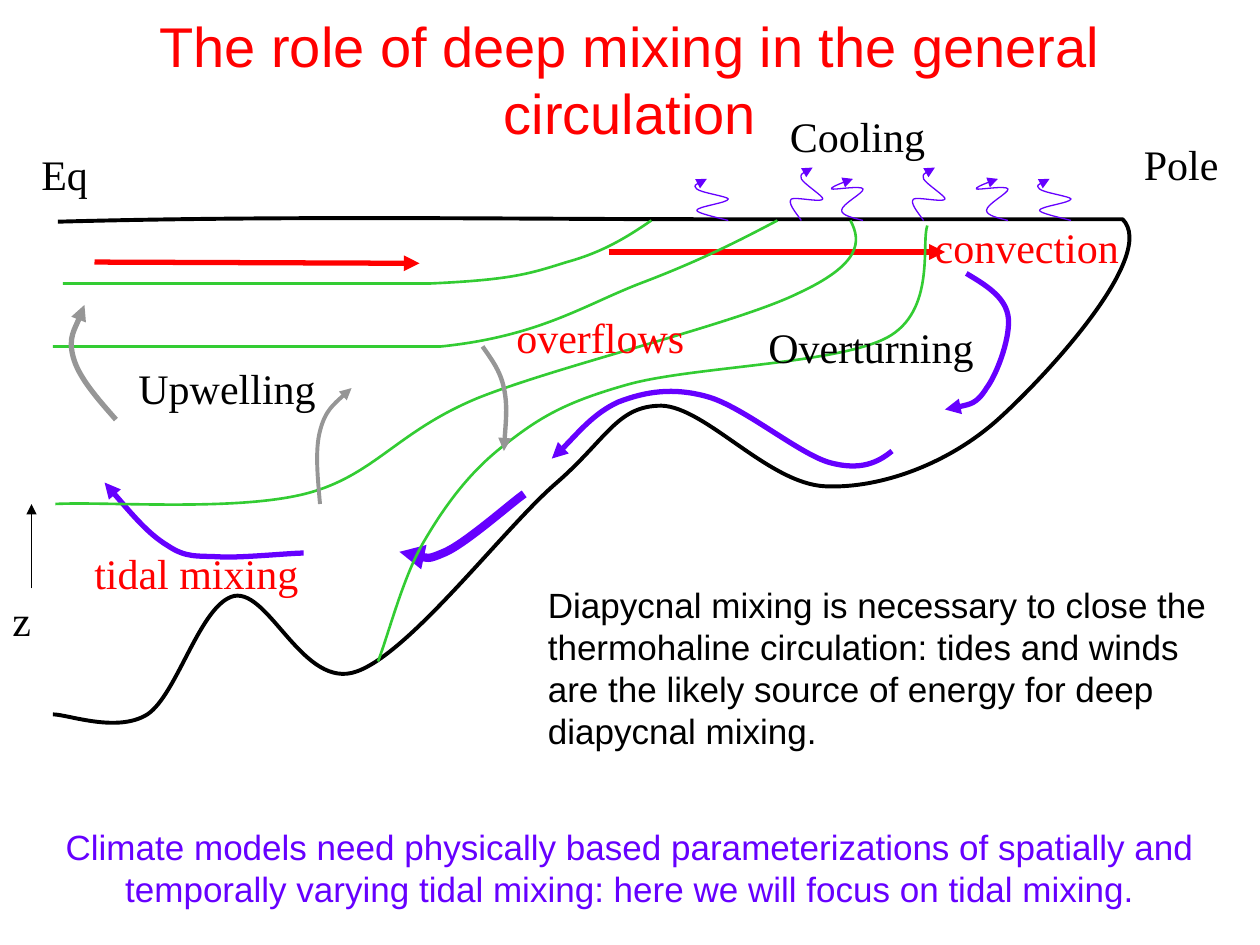
from dataclasses import dataclass

from lxml import etree
from pptx import Presentation
from pptx.dml.color import RGBColor
from pptx.enum import shapes, text
from pptx.oxml import ns
from pptx.util import Inches, Pt


@dataclass(frozen=True)
class Theme:
    black: str = "000000"
    red: str = "FF0000"
    violet: str = "6600FF"
    green: str = "33CC33"
    grey: str = "969696"
    sans: str = "Arial"
    serif: str = "Times New Roman"
    title: int = 32
    label: int = 24
    body: int = 20


THEME = Theme()
SEA_LEVEL = 1.75


def set_all(obj, values):
    for name, value in values.items():
        setattr(obj, name, value)


def bend(sp, segments):
    """Turn each run of three straight pieces of a freeform into one cubic Bézier."""
    pieces = iter(list(sp._element.iter(ns.qn("a:lnTo"))))
    for seg in segments:
        first, *rest = [next(pieces) for _ in seg]
        if rest:
            first.tag_name = None
            cubic = etree.Element(ns.qn("a:cubicBezTo"))
            first.addprevious(cubic)
            for piece in (first, *rest):
                cubic.append(piece[0])
                piece.getparent().remove(piece)


class Canvas:
    def __init__(self, slide, theme):
        self.slide, self.theme = slide, theme

    def style_line(self, sp, color, width, arrow):
        sp.line.color.rgb = RGBColor.from_string(color)
        sp.line.width = Pt(width)
        if arrow:
            ln = sp.line._get_or_add_ln()
            etree.SubElement(ln, ns.qn("a:tailEnd"), type="triangle")

    def curve(self, start, segments, color, width, arrow=False):
        """Draw segments: one point is a straight line, three are a cubic Bézier."""
        builder = self.slide.shapes.build_freeform(*map(Inches, start))
        builder.add_line_segments(
            [(Inches(x), Inches(y)) for seg in segments for x, y in seg], close=False)
        sp = builder.convert_to_shape()
        bend(sp, segments)
        sp.shadow.inherit = False
        sp.fill.background()
        self.style_line(sp, color, width, arrow)

    def arrow(self, start, end, color, width):
        sp = self.slide.shapes.add_connector(
            shapes.MSO_CONNECTOR.STRAIGHT, *map(Inches, start + end))
        etree.SubElement(sp._element.spPr, ns.qn("a:effectLst"))
        self.style_line(sp, color, width, True)

    def text(self, box, words, color, size, font, align=text.PP_ALIGN.LEFT, **frame):
        tf = self.slide.shapes.add_textbox(*map(Inches, box)).text_frame
        set_all(tf, {"word_wrap": True,
                     "auto_size": text.MSO_AUTO_SIZE.SHAPE_TO_FIT_TEXT, **frame})
        p = tf.paragraphs[0]
        p.alignment = align
        r = p.add_run()
        r.text = words
        set_all(r.font, {"name": font, "size": Pt(size)})
        r.font.color.rgb = RGBColor.from_string(color)

    def label(self, left, top, width, words, color):
        self.text((left, top, width, 0.5), words, color, self.theme.label,
                  self.theme.serif, word_wrap=False)


SEABED = ((0.46, 1.76), [
    ((2.26, 1.71), (4.13, 1.74), (5.54, 1.74)), ((8.91, 1.74),),
    ((9.19, 2.02), (8.32, 2.97), (7.92, 3.33)),
    ((7.53, 3.68), (6.99, 3.88), (6.55, 3.86)),
    ((6.1, 3.84), (5.6, 3.23), (5.25, 3.22)),
    ((4.9, 3.22), (4.82, 3.48), (4.42, 3.83)),
    ((4.01, 4.18), (3.26, 5.18), (2.83, 5.33)),
    ((2.41, 5.48), (2.14, 4.68), (1.86, 4.73)),
    ((1.59, 4.79), (1.41, 5.51), (1.17, 5.67)),
    ((0.93, 5.82), (0.54, 5.67), (0.42, 5.67))])

SURFACE_FLOWS = [((4.83, 2), (7.5, 2)), ((0.75, 2.08), (3.33, 2.09))]

# line width, start, segments
DEEP_FLOWS = [
    (3, (7.67, 2.17), [((7.82, 2.26), (7.97, 2.35), (8, 2.5)),
                       ((8.03, 2.65), (7.92, 2.96), (7.83, 3.08)),
                       ((7.75, 3.21), (7.62, 3.23), (7.5, 3.25))]),
    (3, (7.08, 3.58), [((6.97, 3.67), (6.83, 3.74), (6.58, 3.67)),
                       ((6.34, 3.6), (5.9, 3.23), (5.62, 3.15)),
                       ((5.34, 3.07), (5.12, 3.11), (4.91, 3.19)),
                       ((4.71, 3.28), (4.49, 3.55), (4.38, 3.64))]),
    (4.75, (4.16, 3.92), [((4.06, 3.99), (3.71, 4.3), (3.54, 4.38)),
                          ((3.38, 4.45), (3.29, 4.42), (3.17, 4.38))]),
    (3, (2.41, 4.39), [((2.3, 4.39), (1.91, 4.43), (1.74, 4.42)),
                       ((1.56, 4.41), (1.48, 4.43), (1.33, 4.33)),
                       ((1.18, 4.24), (1.01, 4.04), (0.83, 3.83))]),
]

ISOPYCNALS = [
    ((0.42, 2.75), [((3.5, 2.75),), ((4.28, 2.67), (4.64, 2.42), (5.08, 2.25)),
                    ((5.53, 2.08), (5.85, 1.92), (6.17, 1.75))]),
    ((0.5, 2.25), [((3.42, 2.25),), ((4.08, 2.22), (4.21, 2.17), (4.5, 2.08)),
                   ((4.79, 2), (4.98, 1.88), (5.17, 1.75))]),
    ((7.36, 1.79), [((7.31, 1.93), (7.43, 2.47), (7.04, 2.68)),
                    ((6.64, 2.89), (5.5, 2.91), (4.99, 3.05)),
                    ((4.49, 3.19), (4.29, 3.31), (4.02, 3.52)),
                    ((3.74, 3.73), (3.54, 4), (3.37, 4.29)),
                    ((3.2, 4.57), (3.08, 5.05), (3, 5.25))]),
    ((6.75, 1.75), [((6.84, 1.92), (6.83, 2.1), (6.33, 2.33)),
                    ((5.84, 2.57), (4.44, 2.9), (3.79, 3.16)),
                    ((3.14, 3.43), (2.97, 3.78), (2.42, 3.92)),
                    ((1.86, 4.06), (0.86, 3.98), (0.44, 4))]),
]

MIXING_FLOWS = [
    (3, (0.92, 3.33), [((0.77, 3.16), (0.62, 2.99), (0.58, 2.83)),
                       ((0.54, 2.68), (0.65, 2.49), (0.67, 2.42))]),
    (2.25, (2.54, 4), [((2.52, 3.78), (2.5, 3.57), (2.54, 3.42)),
                       ((2.58, 3.26), (2.69, 3.17), (2.79, 3.08))]),
    (2.5, (3.83, 2.75), [((3.9, 2.85), (3.97, 2.94), (4, 3.08)),
                         ((4.03, 3.22), (4.01, 3.4), (4, 3.58))]),
]

# start positions at sea level, then segments relative to the start
COOLING = [
    ((8.5, 5.78), [((-0.12, -0.03), (-0.25, -0.06), (-0.25, -0.08)),
                   ((-0.25, -0.11), (0, -0.14), (0, -0.17)),
                   ((0, -0.19), (-0.22, -0.22), (-0.25, -0.25)),
                   ((-0.28, -0.28), (-0.22, -0.31), (-0.17, -0.33))]),
    ((8, 6.85), [((-0.08, -0.02), (-0.17, -0.04), (-0.17, -0.08)),
                 ((-0.17, -0.13), (0.01, -0.22), (0, -0.25)),
                 ((-0.01, -0.28), (-0.24, -0.24), (-0.25, -0.25)),
                 ((-0.26, -0.26), (-0.17, -0.3), (-0.08, -0.33))]),
    ((7.33, 6.36), [((-0.05, -0.07), (-0.11, -0.14), (-0.08, -0.17)),
                    ((-0.05, -0.19), (0.16, -0.14), (0.17, -0.17)),
                    ((0.18, -0.19), (0.02, -0.29), (0, -0.33)),
                    ((-0.01, -0.37), (0.04, -0.4), (0.09, -0.42))]),
]

LABELS = [
    (0.23, 1.13, 0.57, "Eq", THEME.black),
    (8.98, 1.05, 0.79, "Pole", THEME.black),
    (0, 4.67, 0.35, "z", THEME.black),
    (6.17, 0.83, 1.29, "Cooling", THEME.black),
    (1, 2.83, 1.61, "Upwelling", THEME.black),
    (6, 2.5, 1.83, "Overturning", THEME.black),
    (7.32, 1.71, 1.66, "convection", THEME.red),
    (4, 2.42, 1.53, "overflows", THEME.red),
    (0.65, 4.3, 1.82, "tidal mixing", THEME.red),
]


def main():
    prs = Presentation()
    prs.slide_width, prs.slide_height = Inches(10), Inches(7.5)
    s = Canvas(prs.slides.add_slide(prs.slide_layouts[6]), THEME)

    s.text((0.75, 0, 8.5, 1.25), "The role of deep mixing in the general circulation",
           THEME.red, THEME.title, THEME.sans, text.PP_ALIGN.CENTER,
           auto_size=text.MSO_AUTO_SIZE.NONE, vertical_anchor=text.MSO_ANCHOR.MIDDLE)
    s.curve(*SEABED, THEME.black, 2.25)
    for start, end in SURFACE_FLOWS:
        s.arrow(start, end, THEME.red, 3)
    for width, start, segments in DEEP_FLOWS:
        s.curve(start, segments, THEME.violet, width, arrow=True)
    for start, segments in ISOPYCNALS:
        s.curve(start, segments, THEME.green, 1.5)
    for width, start, segments in MIXING_FLOWS:
        s.curve(start, segments, THEME.grey, width, arrow=True)
    s.arrow((0.25, 4.67), (0.25, 4), THEME.black, 0.75)
    for starts, offsets in COOLING:
        for x in starts:
            segments = [[(x + dx, SEA_LEVEL + dy) for dx, dy in seg] for seg in offsets]
            s.curve((x, SEA_LEVEL), segments, THEME.violet, 0.75, arrow=True)
    for label in LABELS:
        s.label(*label)
    s.text((4.25, 4.58, 5.5, 1.43),
           "Diapycnal mixing is necessary to close the thermohaline circulation: tides and "
           "winds are the likely source of energy for deep diapycnal mixing.",
           THEME.black, THEME.body, THEME.sans)
    s.text((0, 6.5, 10, 0.77),
           "Climate models need physically based parameterizations of spatially and "
           "temporally varying tidal mixing: here we will focus on tidal mixing.",
           THEME.violet, THEME.body, THEME.sans, text.PP_ALIGN.CENTER)
    prs.save("out.pptx")


if __name__ == "__main__":
    main()
